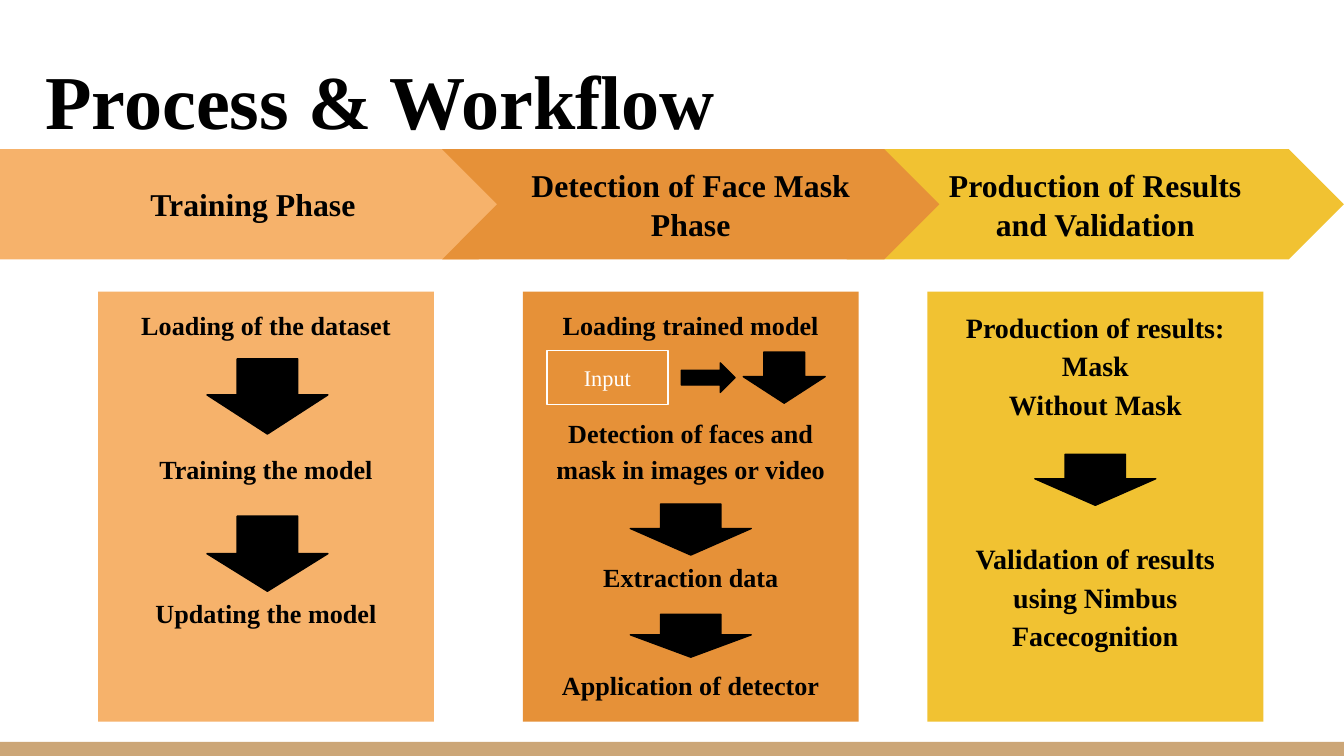
from pptx import Presentation
from pptx import util as u
from pptx.dml.color import RGBColor
from pptx.enum import shapes, text
from pptx.util import Inches

BLACK = RGBColor(0x00, 0x00, 0x00)
WHITE = RGBColor(0xFF, 0xFF, 0xFF)
YELLOW = RGBColor(0xF1, 0xC2, 0x32)
PEACH = RGBColor(0xF6, 0xB2, 0x6B)
ORANGE = RGBColor(0xE6, 0x91, 0x38)
TAN = RGBColor(0xCC, 0xA6, 0x77)
FONT = "Times New Roman"
LINE_PITCH = 1.375  # height of a step line, in font sizes
KIND = shapes.MSO_SHAPE
CENTER, LEFT = text.PP_ALIGN.CENTER, text.PP_ALIGN.LEFT
TOP, MIDDLE = text.MSO_ANCHOR.TOP, text.MSO_ANCHOR.MIDDLE

prs = Presentation()
prs.slide_width = Inches(10)
prs.slide_height = prs.slide_width * 9 // 16
slide = prs.slides.add_slide(prs.slide_layouts[6])


def draw(kind, left, top, width, height, fill=None, line=None):
    shape = slide.shapes.add_shape(
        kind, Inches(left), Inches(top), Inches(width), Inches(height))
    shape.shadow.inherit = False
    if fill is None:
        shape.fill.background()
    else:
        shape.fill.solid()
        shape.fill.fore_color.rgb = fill
    if line is None:
        shape.line.fill.background()
    else:
        shape.line.color.rgb = line
        shape.line.width = u.Pt(0.75)
    return shape


def write(shape, lines, size, color=BLACK, bold=True, anchor=TOP,
          align=CENTER, spacing=1.0):
    """Each line is (words, number of empty lines above it)."""
    frame = shape.text_frame
    frame.word_wrap = True
    frame.vertical_anchor = anchor
    frame.margin_left = frame.margin_right = Inches(0.1)
    frame.margin_top = frame.margin_bottom = Inches(0.1)
    for i, (words, gap) in enumerate(lines):
        para = frame.paragraphs[0] if i == 0 else frame.add_paragraph()
        para.alignment = align
        para.line_spacing = spacing
        if gap:
            para.space_before = u.Pt(round(gap * size * LINE_PITCH, 1))
        run = para.add_run()
        run.text = words
        run.font.name = FONT
        run.font.size = u.Pt(size)
        run.font.bold = bold
        run.font.color.rgb = color
    return frame


# Footer band and title
draw(KIND.RECTANGLE, 0, 5.52, 10, 0.11, TAN)
title = slide.shapes.add_textbox(
    Inches(0.24), Inches(0.3), Inches(5.38), Inches(0.85))
write(title, [("Process & Workflow", 0)], 40.8, align=LEFT)

# Phases, back to front: banner kind, left, width, heading,
# panel left, step size, steps, colour
phases = [
    (KIND.CHEVRON, 6.3, 3.7, ["Production of Results", "and Validation"],
     6.9, 15, [("Production of results:", 0), ("Mask", 0),
               ("Without Mask", 0),
               ("Validation of results using Nimbus Facecognition", 3)],
     YELLOW),
    (KIND.PENTAGON, 0, 3.97, ["Training Phase"],
     0.73, 14, [("Loading of the dataset", 0), ("Training the model", 3),
                ("Updating the model", 3)],
     PEACH),
    (KIND.CHEVRON, 3.29, 3.7, ["Detection of Face Mask", "Phase"],
     3.89, 14, [("Loading trained model", 0),
                ("Detection of faces and mask in images or video", 2),
                ("Extraction data", 2), ("Application of detector", 2)],
     ORANGE),
]
for kind, left, width, heading, panel_left, size, steps, color in phases:
    banner = draw(kind, left, 1.11, width, 0.82, color)
    banner.adjustments[0] = 0.5
    write(banner, [(words, 0) for words in heading], 17, anchor=MIDDLE)
    panel = draw(KIND.RECTANGLE, panel_left, 2.17, 2.5, 3.2, color)
    step_frame = write(panel, steps, size, spacing=1.15)

# The extraction step of the detection phase is indented from the left
extraction = step_frame.paragraphs[2]
extraction.alignment = LEFT
extraction._p.get_or_add_pPr().set("indent", str(Inches(0.5)))

# Input feeding the detection phase
input_box = draw(KIND.RECTANGLE, 4.07, 2.61, 0.9, 0.4, line=WHITE)
write(input_box, [("Input", 0)], 12, color=WHITE, bold=False)

# Arrows between steps: kind, left, top, width, height, head length
arrows = [
    (KIND.DOWN_ARROW, 1.54, 2.67, 0.9, 0.56, 0.52),
    (KIND.DOWN_ARROW, 1.54, 3.84, 0.9, 0.56, 0.5),
    (KIND.DOWN_ARROW, 5.53, 2.62, 0.61, 0.38, 0.52),
    (KIND.DOWN_ARROW, 4.69, 3.75, 0.9, 0.38, 0.52),
    (KIND.DOWN_ARROW, 4.69, 4.57, 0.9, 0.32, 0.52),
    (KIND.DOWN_ARROW, 7.7, 3.38, 0.9, 0.38, 0.52),
    (KIND.RIGHT_ARROW, 5.07, 2.7, 0.4, 0.22, 0.5),
]
for kind, left, top, width, height, head in arrows:
    arrow = draw(kind, left, top, width, height, BLACK, BLACK)
    arrow.adjustments[0] = 0.5
    arrow.adjustments[1] = head

prs.save("out.pptx")
